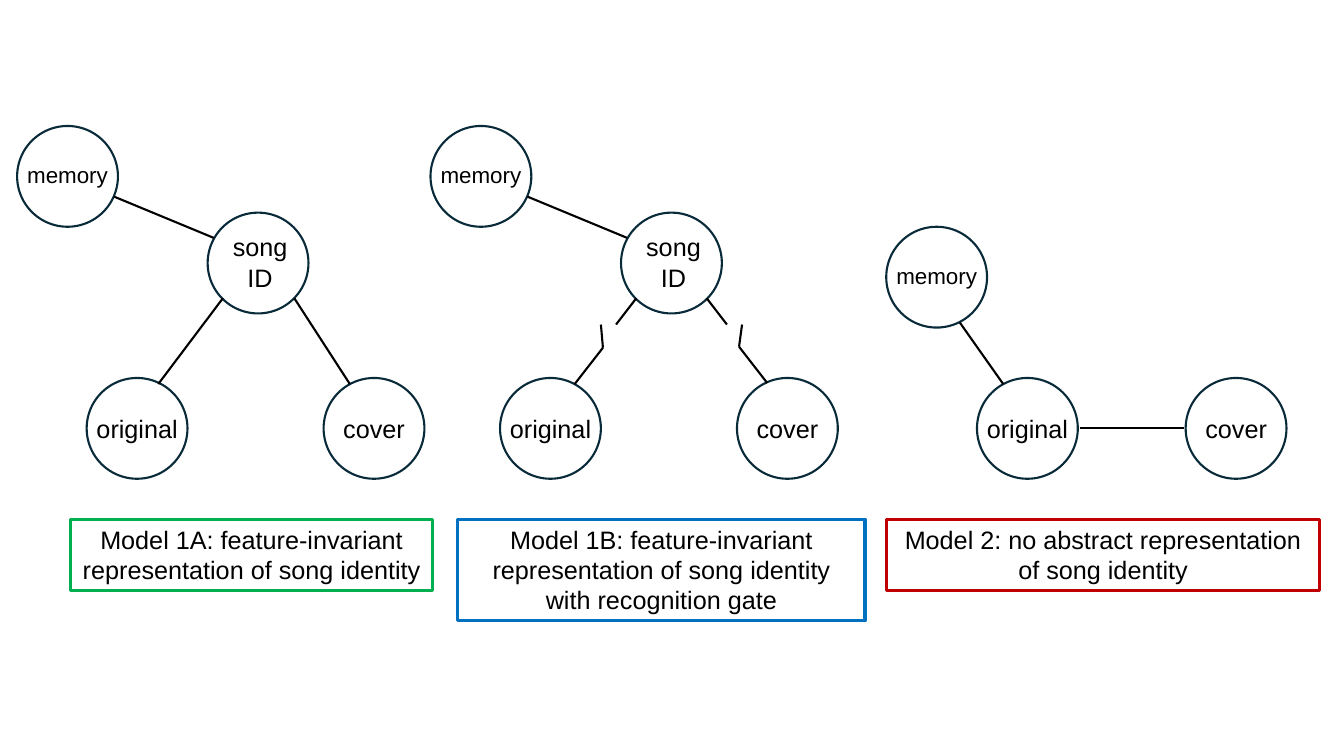
from lxml.etree import SubElement
from pptx import Presentation
from pptx.dml.color import RGBColor
from pptx.enum.shapes import MSO_CONNECTOR as Connector, MSO_SHAPE as Shape
from pptx.enum.text import MSO_ANCHOR as Anchor, PP_ALIGN as Align
from pptx.oxml.ns import qn
from pptx.util import Inches, Pt

COLORS = {
    "black": "000000", "white": "FFFFFF", "outline": "092A39",
    "green": "00B050", "blue": "0070C0", "red": "C00000",
}
NODE_SIZE = 1
LABEL_WIDTH = 1.04
MODEL_PITCH = 4.1
NODE_TOP = 3.75
CAPTION_TOP = 5.15


def color(name):
    """Return the named palette colour."""
    return RGBColor.from_string(COLORS[name])


def write(shape, text, size=18, font="Arial", ink="black", align=Align.CENTER, anchor=Anchor.TOP):
    """Put formatted, wrapping text into a shape."""
    frame = shape.text_frame
    frame.word_wrap = True
    frame.vertical_anchor = anchor
    paragraph = frame.paragraphs[0]
    paragraph.alignment = align
    run = paragraph.add_run()
    run.text = text
    run.font.size = Pt(size)
    run.font.name = font
    run.font.color.rgb = color(ink)


def add_outlined(slide, kind, box, line, width, fill=None):
    """Add a preset shape with an outline and an optional fill."""
    shape = slide.shapes.add_shape(kind, *map(Inches, box))
    shape.shadow.inherit = False
    if fill:
        shape.fill.solid()
        shape.fill.fore_color.rgb = color(fill)
    else:
        shape.fill.background()
    shape.line.color.rgb = color(line)
    shape.line.width = Pt(width)
    return shape


def add_node(slide, text, left, top, size=18, label_height=0.4, label_shift=-0.02, label_drop=0.3):
    """Add a circle with its label, which is slightly wider than the circle."""
    add_outlined(slide, Shape.OVAL, (left, top, NODE_SIZE, NODE_SIZE), "outline", 1.5, "white")
    label_box = (left + label_shift, top + label_drop, LABEL_WIDTH, label_height)
    label = slide.shapes.add_textbox(*map(Inches, label_box))
    write(label, text, size=size)


def add_memory(slide, left, top):
    """Add a memory node, whose label is set smaller."""
    add_node(slide, "memory", left, top, size=16, label_height=0.37)


def add_link(slide, start, end):
    """Add a thin black line between two points."""
    link = slide.shapes.add_connector(Connector.STRAIGHT, *map(Inches, (*start, *end)))
    link.line.color.rgb = color("black")
    link.line.width = Pt(1.5)
    SubElement(link._element.spPr, qn("a:effectLst"))


def add_caption(slide, text, left, width, height, line):
    """Add a framed model caption."""
    box = (left, CAPTION_TOP, width, height)
    caption = add_outlined(slide, Shape.RECTANGLE, box, line, 2.25)
    write(caption, text)


def add_song_model(slide, left, branches):
    """Add a model in which a song ID node joins memory, original and cover."""
    add_memory(slide, left + 0.17, 1.25)
    add_node(slide, "song ID", left + 2.06, 2.11, label_height=0.71, label_shift=0, label_drop=0.14)
    add_node(slide, "original", left + 0.86, NODE_TOP)
    add_node(slide, "cover", left + 3.21, NODE_TOP)
    memory_branch = ((1.13, 1.95), (2.12, 2.36))
    for (x1, y1), (x2, y2) in (memory_branch, *branches):
        add_link(slide, (left + x1, y1), (left + x2, y2))


def add_direct_model(slide):
    """Add the model in which memory and cover meet at the original."""
    add_memory(slide, 8.79, 2.25)
    add_node(slide, "original", 9.69, NODE_TOP)
    add_node(slide, "cover", 11.76, NODE_TOP)
    add_link(slide, (9.52, 3.2), (9.95, 3.81))
    add_link(slide, (10.71, 4.25), (11.74, 4.25))


def main():
    """Build the slide comparing the three models."""
    deck = Presentation()
    deck.slide_width, deck.slide_height = Inches(13.33), Inches(7.5)
    slide = deck.slides.add_slide(deck.slide_layouts[6])

    whole_branches = [((1.57, 3.81), (2.21, 2.96)), ((3.47, 3.81), (2.92, 2.96))]
    gated_branches = [
        ((2.01, 3.22), (2.21, 2.96)), ((1.6, 3.81), (1.88, 3.45)), ((1.86, 3.22), (1.88, 3.45)),
        ((3.11, 3.22), (2.91, 2.96)), ((3.51, 3.8), (3.23, 3.44)), ((3.26, 3.22), (3.23, 3.44)),
    ]
    for index, branches in enumerate((whole_branches, gated_branches)):
        add_song_model(slide, index * MODEL_PITCH, branches)
    add_direct_model(slide)

    captions = [
        ("Model 1A: feature-invariant representation of song identity", 0.7, 3.59, 0.71, "green"),
        ("Model 1B: feature-invariant representation of song identity with recognition gate",
         4.54, 4.04, 1.01, "blue"),
        ("Model 2: no abstract representation of song identity", 8.79, 4.3, 0.71, "red"),
    ]
    for caption in captions:
        add_caption(slide, *caption)
    deck.save("out.pptx")


if __name__ == "__main__":
    main()
